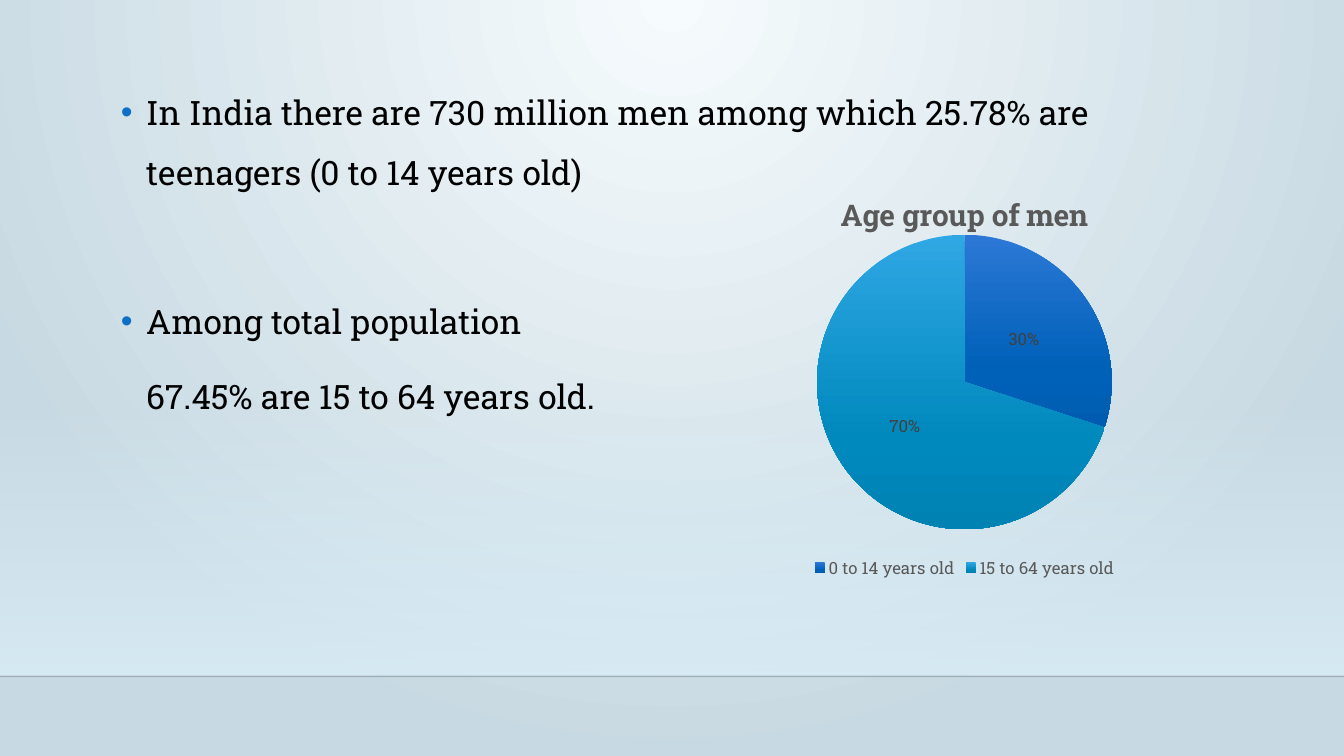
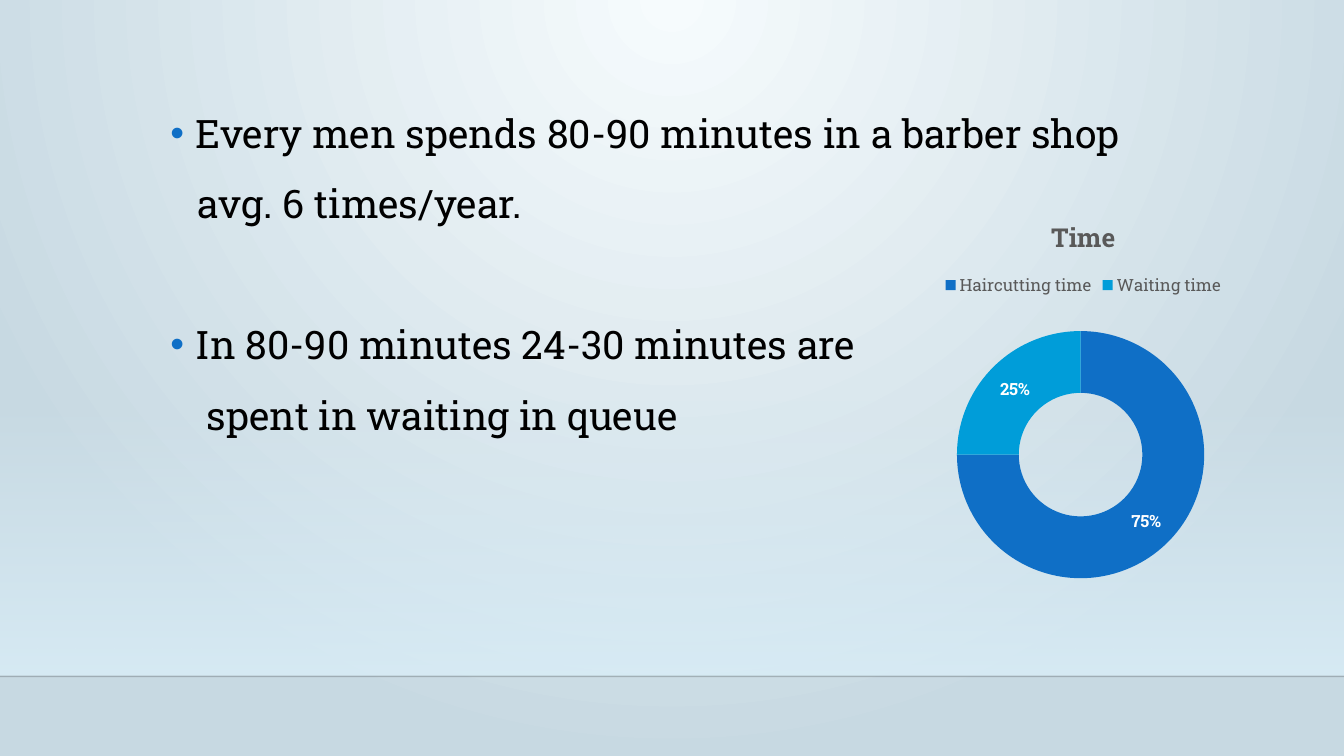
"""Two slides on men's age groups and time spent at the barber shop."""
from dataclasses import dataclass

from lxml.etree import SubElement
from pptx import Presentation
from pptx.chart.chart import Chart
from pptx.chart.data import CategoryChartData
from pptx.dml.color import RGBColor
from pptx.enum.chart import XL_CHART_TYPE as ChartType
from pptx.enum.chart import XL_LABEL_POSITION as LabelPos
from pptx.enum.chart import XL_LEGEND_POSITION as LegendPos
from pptx.enum.shapes import MSO_CONNECTOR as Connector
from pptx.enum.shapes import MSO_SHAPE as Shape
from pptx.enum.text import MSO_AUTO_SIZE as AutoSize
from pptx.enum.text import PP_ALIGN as Align
from pptx.oxml.ns import qn
from pptx.util import Inches, Pt

FONT = "Roboto Slab"
BLACK, GREY, ACCENT = "000000", "595959", "0F6FC6"
SLIDE_W, SLIDE_H = 13.33, 7.5
GLOW_TOP, FLOOR = 3.96, 6.7
BULLET_INDENT = 0.25

Box = tuple[float, float, float, float]


@dataclass(frozen=True)
class Stop:
    """One colour stop of a gradient, in percent."""
    pos: int
    color: str
    alpha: int = 100


@dataclass(frozen=True)
class Line:
    """One paragraph of the body text."""
    text: str
    before: float = 10
    margin: float = BULLET_INDENT
    bullet: bool = False


@dataclass(frozen=True)
class Body:
    """The body text of a slide."""
    box: Box
    size: int
    spacing: float
    lines: tuple[Line, ...]


@dataclass(frozen=True)
class Share:
    """A round chart with its slices and styling."""
    kind: ChartType
    box: Box
    plot: Box
    title: str
    title_size: float
    values: dict[str, int]
    fills: tuple[tuple[Stop, ...], ...]
    legend: LegendPos
    label_color: str
    label_bold: bool = False
    label_pos: LabelPos | None = None


SLIDES = (
    (
        Body((1.1, 0.66, 11.32, 5.65), 24, 1.5, (
            Line("In India there are 730 million men among which 25.78% are "
                 "teenagers (0 to 14 years old)", before=0, bullet=True),
            Line("Among total population", before=63.2, bullet=True),
            Line("67.45% are 15 to 64 years old."),
        )),
        Share(
            ChartType.PIE, (5.88, 1.72, 7.37, 4.06), (0.3, 0.15, 0.4, 0.72),
            "Age group of men", 21.3,
            {"0 to 14 years old": 30, "15 to 64 years old": 70},
            ((Stop(0, "2C78D6"), Stop(69, "0061B9"), Stop(100, "005CB0")),
             (Stop(0, "2FA7E4"), Stop(69, "0089BD"), Stop(100, "0082B3"))),
            LegendPos.BOTTOM, "404040", label_pos=LabelPos.CENTER,
        ),
    ),
    (
        Body((1.59, 0.94, 11.22, 5.62), 28, 1.2, (
            Line("Every men spends 80-90 minutes in a barber shop",
                 before=0, bullet=True),
            Line("avg. 6 times/year.", margin=0.27),
            Line("In 80-90 minutes 24-30 minutes are", before=60.3, bullet=True),
            Line("spent in waiting in queue", margin=0.36),
        )),
        Share(
            ChartType.DOUGHNUT, (8.02, 1.97, 5.45, 4.2), (0.27, 0.3, 0.45, 0.61),
            "Time", 18.6, {"Haircutting time": 75, "Waiting time": 25},
            ((Stop(0, ACCENT),), (Stop(0, "009DD9"),)),
            LegendPos.TOP, "FFFFFF", label_bold=True,
        ),
    ),
)


def rgb(color: str) -> RGBColor:
    """Return the colour for a hex string."""
    return RGBColor.from_string(color)


def inches(box: Box) -> list[Inches]:
    """Return the box as lengths."""
    return [Inches(v) for v in box]


def style(font, size: float, color: str, bold: bool = False) -> None:
    """Apply the deck's typeface with a size, colour and weight."""
    font.name, font.size, font.bold = FONT, Pt(size), bold
    font.color.rgb = rgb(color)


def set_gradient(grad, stops: tuple[Stop, ...], radial: bool = False) -> None:
    """Rewrite a gradient fill as a vertical or top-centred radial one."""
    for child in list(grad):
        grad.remove(child)
    stop_list = SubElement(grad, qn("a:gsLst"))
    for stop in stops:
        gs = SubElement(stop_list, qn("a:gs"), pos=str(stop.pos * 1000))
        clr = SubElement(gs, qn("a:srgbClr"), val=stop.color)
        if stop.alpha < 100:
            SubElement(clr, qn("a:alpha"), val=str(stop.alpha * 1000))
    if radial:
        route = SubElement(grad, qn("a:path"), path="circle")
        SubElement(route, qn("a:fillToRect"),
                   l="43000", t="0", r="43000", b="100000")
    else:
        SubElement(grad, qn("a:lin"), ang="5400000", scaled="0")


def build_master(prs, s) -> None:
    """Give the master its background, glow and floor line."""
    master = prs.slide_master
    master.background.fill.gradient()
    set_gradient(master.element.find(".//" + qn("a:gradFill")),
                 (Stop(0, "F6FBFD"), Stop(100, "C7D9E2")), radial=True)

    glow = s.shapes.add_shape(
        Shape.RECTANGLE, *inches((0, GLOW_TOP, SLIDE_W, FLOOR - GLOW_TOP)))
    glow.shadow.inherit = False
    glow.line.fill.background()
    glow.fill.gradient()
    set_gradient(glow.element.find(".//" + qn("a:gradFill")),
                 (Stop(0, "DBEFF9", 0), Stop(100, "DBEFF9", 80)))

    floor = s.shapes.add_connector(
        Connector.STRAIGHT, *inches((0, FLOOR + 0.01, SLIDE_W, FLOOR + 0.01)))
    floor.line.width = Pt(1)
    floor.line.color.rgb = rgb("000001")
    SubElement(floor.element.find(".//" + qn("a:srgbClr")),
               qn("a:alpha"), val="20000")
    SubElement(floor.element.spPr, qn("a:effectLst"))

    for shape in (glow, floor):
        master.shapes.element.append(shape.element)


def set_bullet(p, line: Line) -> None:
    """Set a paragraph's indent and its bullet, if it has one."""
    p_pr = p._p.get_or_add_pPr()
    p_pr.set("marL", str(Inches(line.margin)))
    p_pr.set("indent", str(-Inches(BULLET_INDENT) if line.bullet else 0))
    if line.bullet:
        clr = SubElement(p_pr, qn("a:buClr"))
        SubElement(clr, qn("a:srgbClr"), val=ACCENT)
        SubElement(p_pr, qn("a:buFont"), typeface="Arial")
        SubElement(p_pr, qn("a:buChar"), char="•")
    else:
        SubElement(p_pr, qn("a:buNone"))


def fill_body(sp, body: Body) -> None:
    """Place the body placeholder and write its paragraphs."""
    sp.left, sp.top, sp.width, sp.height = inches(body.box)
    tf = sp.text_frame
    tf.word_wrap, tf.auto_size = True, AutoSize.NONE
    tf.text = "\n".join(line.text for line in body.lines)
    for p, line in zip(tf.paragraphs, body.lines):
        set_bullet(p, line)
        p.alignment = Align.LEFT
        p.line_spacing = body.spacing
        p.space_before, p.space_after = Pt(line.before), Pt(0)
        for r in p.runs:
            style(r.font, body.size, BLACK)


def set_plot_layout(chart: Chart, plot: Box) -> None:
    """Fix the inner plot area as fractions of the chart."""
    area = chart.element.find(".//" + qn("c:plotArea"))
    for old in area.findall(qn("c:layout")):
        area.remove(old)
    layout = SubElement(area, qn("c:layout"))
    area.insert(0, layout)
    manual = SubElement(layout, qn("c:manualLayout"))
    settings = [("layoutTarget", "inner"), ("xMode", "edge"), ("yMode", "edge")]
    settings += zip("xywh", map(str, plot))
    for tag, val in settings:
        SubElement(manual, qn(f"c:{tag}"), val=val)


def fill_slices(chart: Chart, fills: tuple[tuple[Stop, ...], ...]) -> None:
    """Colour each slice with a solid or gradient fill."""
    points = chart.plots[0].series[0].points
    for i, stops in enumerate(fills):
        fmt = points[i].format
        fmt.line.fill.background()
        if len(stops) == 1:
            fmt.fill.solid()
            fmt.fill.fore_color.rgb = rgb(stops[0].color)
        else:
            fmt.fill.gradient()
    gradients = [stops for stops in fills if len(stops) > 1]
    for grad, stops in zip(chart.element.iter(qn("a:gradFill")), gradients):
        set_gradient(grad, stops)


def add_share_chart(s, share: Share) -> None:
    """Add a round chart with title, legend and percent labels."""
    data = CategoryChartData()
    data.categories = list(share.values)
    data.add_series(share.title, list(share.values.values()))
    chart = s.shapes.add_chart(share.kind, *inches(share.box), data).chart
    style(chart.font, 10, BLACK)

    chart.has_title = True
    tf = chart.chart_title.text_frame
    tf.text = share.title
    style(tf.paragraphs[0].runs[0].font, share.title_size, GREY, True)
    chart.chart_title.include_in_layout = False

    chart.has_legend = True
    chart.legend.position = share.legend
    chart.legend.include_in_layout = False
    style(chart.legend.font, 12, GREY)

    plot = chart.plots[0]
    plot.vary_by_categories = True
    plot.has_data_labels = True
    labels = plot.data_labels
    labels.show_percentage, labels.show_value = True, False
    labels.number_format, labels.number_format_is_linked = "0%", False
    style(labels.font, 12, share.label_color, share.label_bold)
    if share.label_pos is not None:
        labels.position = share.label_pos
    fill_slices(chart, share.fills)
    set_plot_layout(chart, share.plot)


def main() -> None:
    """Build and save the deck."""
    prs = Presentation()
    prs.slide_width, prs.slide_height = Inches(SLIDE_W), Inches(SLIDE_H)
    for body, share in SLIDES:
        s = prs.slides.add_slide(prs.slide_layouts[1])
        title = s.shapes.title.element
        title.getparent().remove(title)
        fill_body(s.placeholders[1], body)
        add_share_chart(s, share)
    build_master(prs, prs.slides[0])
    prs.save("out.pptx")


if __name__ == "__main__":
    main()
